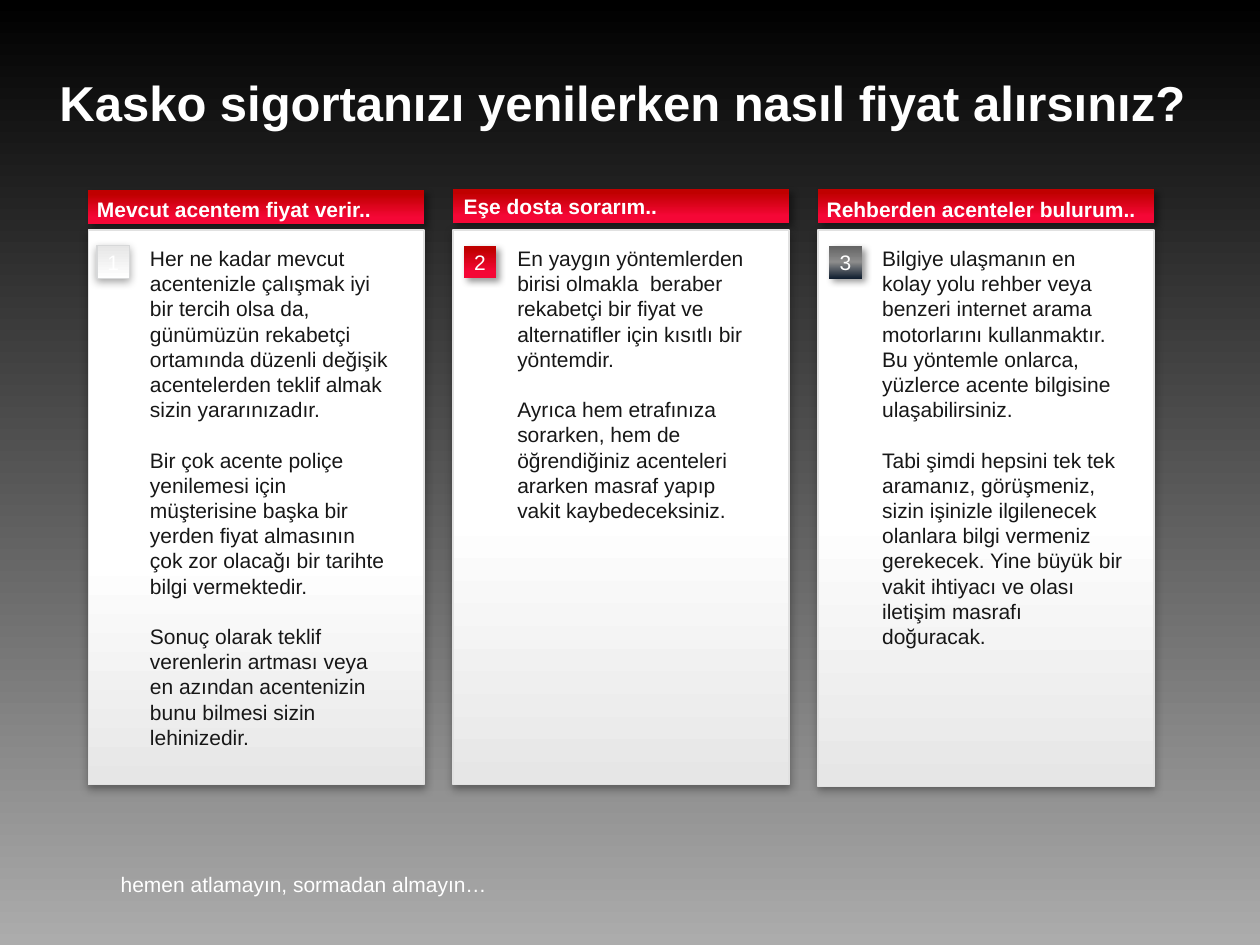
from copy import deepcopy
from dataclasses import dataclass
from typing import NamedTuple, Optional

from lxml.etree import SubElement
from pptx import Presentation
from pptx.dml.color import RGBColor
from pptx.enum.shapes import MSO_SHAPE as Preset
from pptx.enum.text import MSO_ANCHOR as Anchor, MSO_AUTO_SIZE as AutoSize, PP_ALIGN as Align
from pptx.oxml.ns import qn
from pptx.util import Pt

COLORS = {
    "black": "000000", "white": "FFFFFF", "ash": "ACACAC", "ink": "171717",
    "red": "F50736", "dark_red": "C00000", "mist": "E6E6E6", "edge": "E1E1E1",
    "badge_edge": "D7D8D9", "slate": "626262", "gray": "8C8C8C", "navy": "122031",
}
FONT = "Arial"
COLUMN_LEFT, COLUMN_PITCH, COLUMN_WIDTH = 50.4, 208.5, 192
PANEL_TOP, HEADER_HEIGHT = 131.4, 19.4
BADGE_TOP, BADGE_SIZE = 140.4, 18.7
BODY_GAP = 14.4


class Box(NamedTuple):
    left: float
    top: float
    width: float
    height: float


class Shadow(NamedTuple):
    opacity: int
    blur: float
    distance: float
    direction: int


class Gradient(NamedTuple):
    stops: tuple
    angle: int = 90


@dataclass
class TextStyle:
    size: float = 12
    color: str = "white"
    bold: bool = False
    anchor: Anchor = Anchor.TOP
    align: Align = Align.LEFT
    side_inset: float = 0
    end_inset: float = 3.6
    line_spacing: Optional[float] = None
    gap: float = 0
    grow: bool = False


@dataclass
class Style:
    gradient: Gradient
    shadow: Shadow
    line: Optional[str] = None


@dataclass
class Column:
    header: str
    body: list
    badge: Style
    header_top: float
    title_top: float
    panel_height: float
    white_from: int
    title_offset: float
    badge_offset: float
    body_offset: float


HARD_SHADOW = Shadow(40, 4, 3, 45)
SOFT_SHADOW = Shadow(35, 5, 1.8, 90)
RED = Style(Gradient(((11, "red"), (20, "red"), (89, "dark_red"))), HARD_SHADOW)
PALE = Style(Gradient(((0, "white"), (100, "mist"))), SOFT_SHADOW, "badge_edge")
DARK = Style(Gradient(((0, "slate"), (50, "gray"), (100, "navy")), 270), HARD_SHADOW)

TITLE = TextStyle(size=28, bold=True, anchor=Anchor.MIDDLE, line_spacing=0.95)
HEADER = TextStyle(bold=True, anchor=Anchor.MIDDLE, line_spacing=0.95)
BODY = TextStyle(color="ink", side_inset=7.2, gap=BODY_GAP, grow=True)
NUMBER = TextStyle(align=Align.CENTER, grow=True)
FOOTER = TextStyle(anchor=Anchor.MIDDLE, end_inset=0)

COLUMNS = [
    Column("Mevcut acentem fiyat verir..", [
        "Her ne kadar mevcut acentenizle çalışmak iyi bir tercih olsa da, günümüzün "
        "rekabetçi ortamında düzenli değişik acentelerden teklif almak sizin yararınızadır.",
        "Bir çok acente poliçe yenilemesi için müşterisine başka bir yerden fiyat "
        "almasının çok zor olacağı bir tarihte bilgi vermektedir.",
        "Sonuç olarak teklif verenlerin artması veya en azından acentenizin bunu "
        "bilmesi sizin lehinizedir.",
    ], PALE, 108.8, 112.3, 317, 41, 5, 5, 28.2),
    Column("Eşe dosta sorarım..", [
        "En yaygın yöntemlerden birisi olmakla  beraber rekabetçi bir fiyat ve "
        "alternatifler için kısıtlı bir yöntemdir.",
        "Ayrıca hem etrafınıza sorarken, hem de öğrendiğiniz acenteleri ararken "
        "masraf yapıp vakit kaybedeceksiniz.",
    ], RED, 108, 110.8, 317, 49, 6, 6, 29.6),
    Column("Rehberden acenteler bulurum..", [
        "Bilgiye ulaşmanın en kolay yolu rehber veya benzeri internet arama "
        "motorlarını kullanmaktır. Bu yöntemle onlarca, yüzlerce acente bilgisine "
        "ulaşabilirsiniz.",
        "Tabi şimdi hepsini tek tek aramanız, görüşmeniz, sizin işinizle ilgilenecek "
        "olanlara bilgi vermeniz gerekecek. Yine büyük bir vakit ihtiyacı ve olası "
        "iletişim masrafı doğuracak.",
    ], DARK, 108, 112.3, 318, 49, 5, 6.4, 29.6),
]


def rgb(name: str) -> RGBColor:
    """Return a named colour."""
    return RGBColor.from_string(COLORS[name])


def apply_gradient(fill, owner, gradient: Gradient) -> None:
    """Give a fill its angle and any number of stops."""
    fill.gradient()
    fill.gradient_angle = gradient.angle
    stop_list = next(owner.iter(qn("a:gsLst")))
    for _ in gradient.stops[2:]:
        stop_list.append(deepcopy(stop_list[0]))
    for stop, (position, color) in zip(fill.gradient_stops, gradient.stops):
        stop.position = position / 100
        stop.color.rgb = rgb(color)


def apply_shadow(shape, shadow: Shadow) -> None:
    """Replace the theme shadow with an outer one."""
    shape.shadow.inherit = False
    effects = shape._element.spPr.find(qn("a:effectLst"))
    outer = SubElement(effects, qn("a:outerShdw"), blurRad=str(Pt(shadow.blur)),
                       dist=str(Pt(shadow.distance)), dir=str(shadow.direction * 60000),
                       algn="ctr", rotWithShape="0")
    color = SubElement(outer, qn("a:srgbClr"), val=COLORS["black"])
    SubElement(color, qn("a:alpha"), val=str(shadow.opacity * 1000))


def add_rectangle(shapes, box: Box, style: Style) -> None:
    """Draw a gradient rectangle with a shadow."""
    shape = shapes.add_shape(Preset.RECTANGLE, *map(Pt, box))
    apply_gradient(shape.fill, shape._element.spPr, style.gradient)
    if style.line:
        shape.line.color.rgb = rgb(style.line)
        shape.line.width = Pt(0.75)
    else:
        shape.line.fill.background()
    apply_shadow(shape, style.shadow)


def add_text(shapes, box: Box, texts: list, style: TextStyle) -> None:
    """Write paragraphs in a wrapped text box."""
    frame = shapes.add_textbox(*map(Pt, box)).text_frame
    frame.word_wrap = True
    frame.auto_size = AutoSize.SHAPE_TO_FIT_TEXT if style.grow else AutoSize.NONE
    frame.vertical_anchor = style.anchor
    frame.margin_left = frame.margin_right = Pt(style.side_inset)
    frame.margin_top = frame.margin_bottom = Pt(style.end_inset)
    for index, text in enumerate(texts):
        paragraph = frame.add_paragraph() if index else frame.paragraphs[0]
        paragraph.text = text
        paragraph.alignment = style.align
        if style.line_spacing:
            paragraph.line_spacing = style.line_spacing
        if index:
            paragraph.space_before = Pt(style.gap)
        font = paragraph.font
        font.name, font.size, font.bold = FONT, Pt(style.size), style.bold
        font.color.rgb = rgb(style.color)


def add_column(slide, index: int, column: Column) -> None:
    """Draw one numbered column as a group."""
    shapes = slide.shapes.add_group_shape().shapes
    left = COLUMN_LEFT + index * COLUMN_PITCH
    panel = Style(Gradient(((0, "mist"), (column.white_from, "white"), (100, "white"))),
                  SOFT_SHADOW, "edge")
    badge = Box(left + column.badge_offset, BADGE_TOP, BADGE_SIZE, BADGE_SIZE)
    add_rectangle(shapes, Box(left, column.header_top, COLUMN_WIDTH, HEADER_HEIGHT), RED)
    add_rectangle(shapes, Box(left, PANEL_TOP, COLUMN_WIDTH, column.panel_height), panel)
    add_rectangle(shapes, badge, column.badge)
    add_text(shapes, badge._replace(top=139.2, height=21.6), [str(index + 1)], NUMBER)
    add_text(shapes, Box(left + column.title_offset, column.title_top, 186.5, 15.5),
             [column.header], HEADER)
    add_text(shapes, Box(left + column.body_offset, 136.8, 152.6, 311), column.body, BODY)


def main() -> None:
    """Build and save the slide."""
    presentation = Presentation()
    presentation.slide_width, presentation.slide_height = Pt(720), Pt(540)
    slide = presentation.slides.add_slide(presentation.slide_layouts[6])
    apply_gradient(slide.background.fill, slide._element,
                   Gradient(((0, "ash"), (100, "black"))))
    add_text(slide.shapes, Box(34, 36, 666, 47.5),
             ["Kasko sigortanızı yenilerken nasıl fiyat alırsınız?"], TITLE)
    add_text(slide.shapes, Box(69, 491, 235, 28),
             ["hemen atlamayın, sormadan almayın…"], FOOTER)
    for index, column in enumerate(COLUMNS):
        add_column(slide, index, column)
    presentation.save("out.pptx")


if __name__ == "__main__":
    main()
